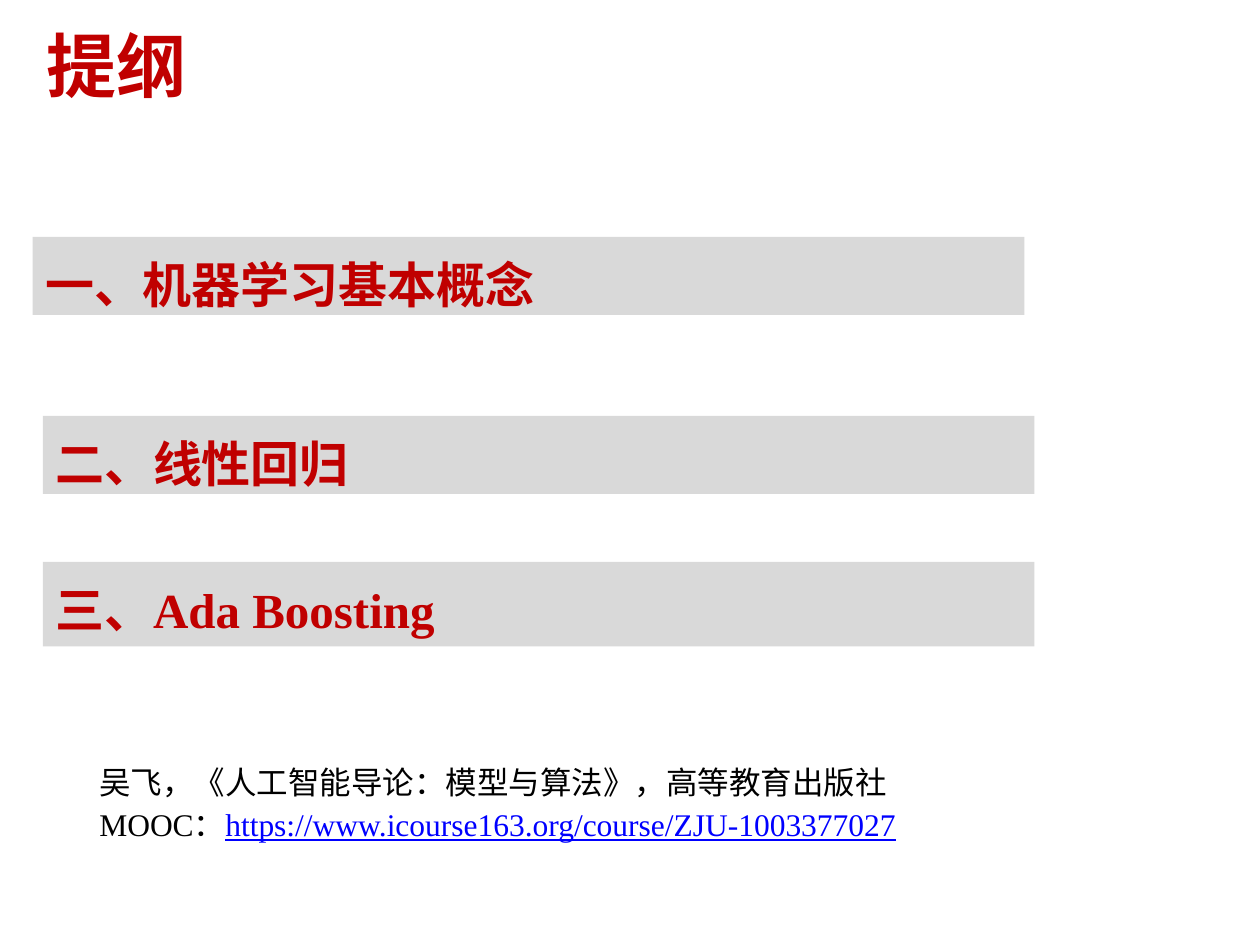
from dataclasses import dataclass

import pptx
import pptx.dml.color
import pptx.enum.shapes
import pptx.enum.text
import pptx.util

Inches, Pt = pptx.util.Inches, pptx.util.Pt
MSO_ANCHOR = pptx.enum.text.MSO_ANCHOR
PP_ALIGN = pptx.enum.text.PP_ALIGN
SLIDE_WIDTH, SLIDE_HEIGHT = 10, 7.5


@dataclass(frozen=True)
class Theme:
    font: str = "Times New Roman"
    accent: str = "C00000"
    bar: str = "D9D9D9"
    body: str = "000000"
    link: str = "0000FF"
    title_size: int = 40
    topic_size: int = 28
    source_size: int = 18


THEME = Theme()

# Bars: left, top, height in inches, and wording
BAR_WIDTH = 7.87
TOPICS = [
    (0.26, 1.88, 0.62, "一、机器学习基本概念"),
    (0.34, 3.30, 0.62, "二、线性回归"),
    (0.34, 4.46, 0.67, "三、Ada Boosting"),
]

# Source lines: each is a list of (text, colour, underlined)
SOURCES = [
    [("吴飞，《人工智能导论：模型与算法》，高等教育出版社", THEME.body, False)],
    [("MOOC：", THEME.body, False),
     ("https://www.icourse163.org/course/ZJU-1003377027", THEME.link, True)],
]


def color(value):
    return pptx.dml.color.RGBColor.from_string(value)


def box(left, top, width, height):
    return [Inches(length) for length in (left, top, width, height)]


def add_run(paragraph, text, size, rgb, bold=False, underline=False):
    run = paragraph.add_run()
    run.text = text
    font = run.font
    font.name, font.size = THEME.font, Pt(size)
    font.bold, font.underline = bold, underline
    font.color.rgb = color(rgb)


def prepare_frame(shape, anchor):
    frame = shape.text_frame
    frame.word_wrap = True
    frame.auto_size = pptx.enum.text.MSO_AUTO_SIZE.NONE
    frame.vertical_anchor = anchor
    return frame


def add_title(slide, text):
    title = slide.shapes.title
    title.left, title.top, title.width, title.height = box(0.27, 0.02, 7.17, 0.99)
    paragraph = prepare_frame(title, MSO_ANCHOR.MIDDLE).paragraphs[0]
    paragraph.alignment = PP_ALIGN.LEFT
    add_run(paragraph, text, THEME.title_size, THEME.accent, bold=True)


def add_topic_bar(slide, left, top, height, text):
    bar = slide.shapes.add_shape(
        pptx.enum.shapes.MSO_SHAPE.RECTANGLE, *box(left, top, BAR_WIDTH, height))
    bar.shadow.inherit = False
    bar.fill.solid()
    bar.fill.fore_color.rgb = color(THEME.bar)
    bar.line.fill.background()
    paragraph = prepare_frame(bar, MSO_ANCHOR.TOP).paragraphs[0]
    paragraph.alignment = PP_ALIGN.LEFT
    paragraph.line_spacing = 1.2
    add_run(paragraph, text, THEME.topic_size, THEME.accent, bold=True)


def add_sources(slide, lines):
    text_box = slide.shapes.add_textbox(*box(0.69, 6.14, 8.34, 0.62))
    frame = prepare_frame(text_box, MSO_ANCHOR.TOP)
    for index, runs in enumerate(lines):
        paragraph = frame.add_paragraph() if index else frame.paragraphs[0]
        paragraph.line_spacing = Pt(12)
        if index:
            paragraph.space_before = Pt(12)
        for text, rgb, underline in runs:
            add_run(paragraph, text, THEME.source_size, rgb, underline=underline)


def main():
    presentation = pptx.Presentation()
    presentation.slide_width = Inches(SLIDE_WIDTH)
    presentation.slide_height = Inches(SLIDE_HEIGHT)
    slide = presentation.slides.add_slide(presentation.slide_layouts[5])

    # Heading, outline and reading source
    add_title(slide, "提纲")
    for topic in TOPICS:
        add_topic_bar(slide, *topic)
    add_sources(slide, SOURCES)

    presentation.save("out.pptx")


if __name__ == "__main__":
    main()
